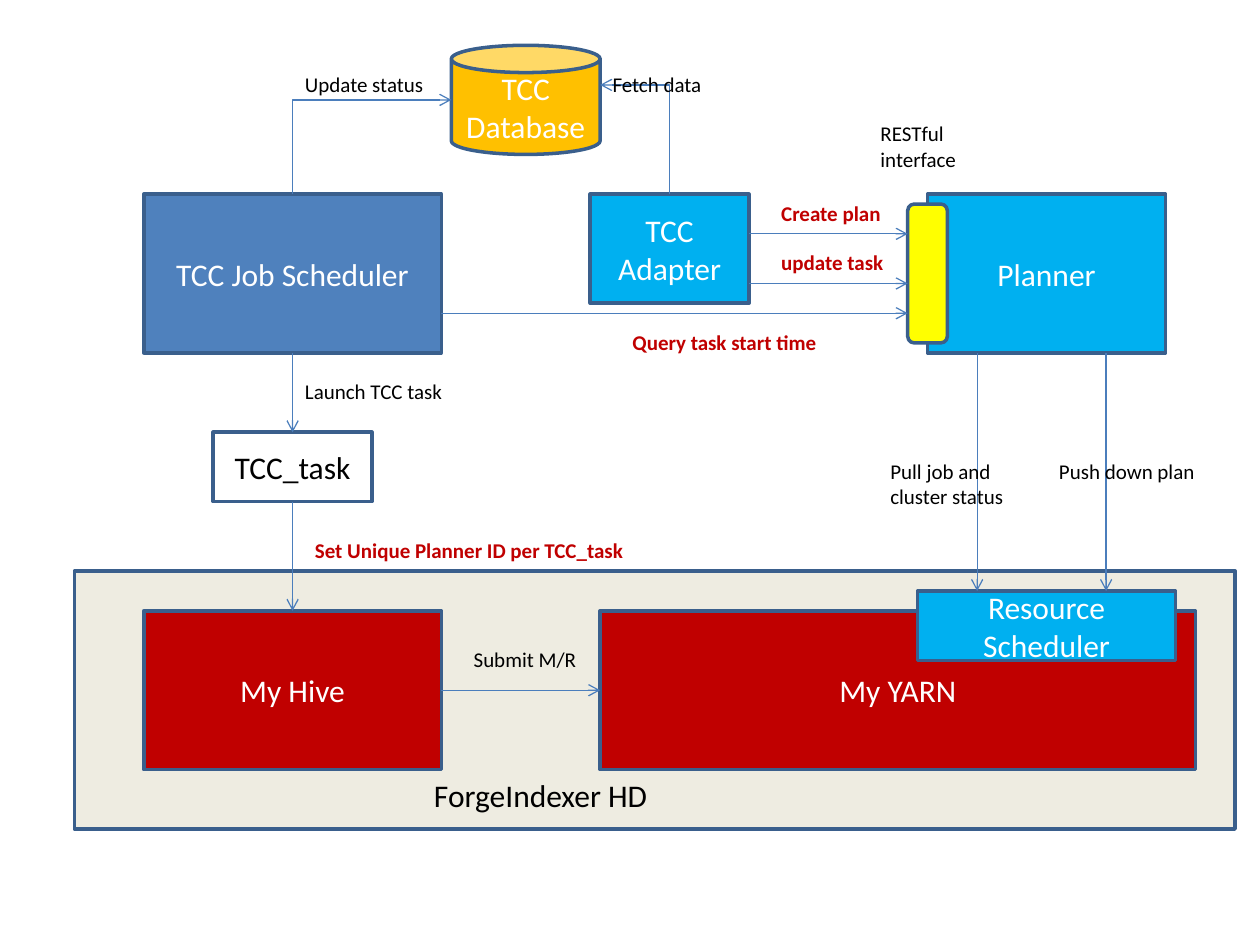
from dataclasses import dataclass

from lxml import etree
from pptx import Presentation
from pptx.dml.color import RGBColor
from pptx.enum.shapes import MSO_CONNECTOR, MSO_SHAPE
from pptx.enum.text import MSO_ANCHOR, PP_ALIGN
from pptx.oxml.ns import qn
from pptx.shapes.base import BaseShape
from pptx.shapes.connector import Connector
from pptx.slide import Slide
from pptx.text.text import TextFrame
from pptx.util import Inches, Mm, Pt

RECT, ROUNDED, CAN = MSO_SHAPE.RECTANGLE, MSO_SHAPE.ROUNDED_RECTANGLE, MSO_SHAPE.CAN
STRAIGHT, ELBOW = MSO_CONNECTOR.STRAIGHT, MSO_CONNECTOR.ELBOW
LEFT, CENTER, MIDDLE, TOP = PP_ALIGN.LEFT, PP_ALIGN.CENTER, MSO_ANCHOR.MIDDLE, MSO_ANCHOR.TOP
SIDE_TOP, SIDE_LEFT, SIDE_BOTTOM, SIDE_RIGHT = range(4)

CELL = Mm(2)  # grid pitch in both directions
ORIGIN_X, ORIGIN_Y = Inches(0.59), Inches(0.36)


@dataclass(frozen=True)
class Theme:
    font: str = "Calibri"
    node_size: int = 18
    label_size: int = 12
    outline_width: float = 2
    arrow_width: float = 0.75
    outline: str = "3A5F8C"
    arrow: str = "4B7EBC"
    panel: str = "EEECE1"
    blue: str = "4F81BD"
    cyan: str = "00B0F0"
    red: str = "C00000"
    amber: str = "FFC000"
    yellow: str = "FFFF00"
    white: str = "FFFFFF"
    black: str = "000000"


THEME = Theme()


@dataclass(frozen=True)
class Node:
    name: str
    column: float
    row: float
    columns: float
    rows: float
    fill: str
    text: str = ""
    color: str = THEME.white
    kind: MSO_SHAPE = RECT


@dataclass(frozen=True)
class Label:
    text: str
    column: float
    row: float
    columns: float
    strong: bool = False
    size: int = THEME.label_size


@dataclass(frozen=True)
class Link:
    """A straight arrow between the middles of two nodes' sides."""
    source: str
    source_side: int
    target: str
    target_side: int


@dataclass(frozen=True)
class Arrow:
    start: tuple[float, float]
    end: tuple[float, float]


NODES = [
    Node("platform", 0, 53, 117, 26, THEME.panel),
    Node("planner", 86, 15, 24, 16, THEME.cyan, "Planner"),
    Node("scheduler", 7, 15, 30, 16, THEME.blue, "TCC Job Scheduler"),
    Node("adapter", 52, 15, 16, 11, THEME.cyan, "TCC\nAdapter"),
    Node("interface", 84, 16, 4, 14, THEME.yellow, kind=ROUNDED),
    Node("database", 38, 0, 15, 11, THEME.amber, "TCC Database", kind=CAN),
    Node("task", 14, 39, 16, 7, THEME.white, "TCC_task", THEME.black),
    Node("yarn", 53, 57, 60, 16, THEME.red, "My YARN"),
    Node("hive", 7, 57, 30, 16, THEME.red, "My Hive"),
    Node("resources", 85, 55, 26, 7, THEME.cyan, "Resource Scheduler"),
]
LINKS = [
    Link("scheduler", SIDE_BOTTOM, "task", SIDE_TOP),
    Link("task", SIDE_BOTTOM, "hive", SIDE_TOP),
    Link("hive", SIDE_RIGHT, "yarn", SIDE_LEFT),
]
STRAIGHT_ARROWS = [
    Arrow((68, 19), (84, 19)),
    Arrow((68, 24), (84, 24)),
    Arrow((37, 27), (84, 27)),
    Arrow((91, 31), (91, 55)),
    Arrow((104, 31), (104, 55)),
]
ELBOW_ARROWS = [
    Arrow((22, 15), (38, 5.5)),
    Arrow((60, 15), (53, 4)),
]
LABELS = [
    Label("RESTful\ninterface", 80, 7, 10.3),
    Label("Update status", 22, 2, 14.6),
    Label("Fetch data", 53, 2, 11.6),
    Label("Create plan", 70, 15, 12.7, strong=True),
    Label("update task", 70, 20, 13, strong=True),
    Label("Query task start time", 55, 28, 21.3, strong=True),
    Label("Launch TCC task", 22, 33, 16.5),
    Label("Set Unique Planner ID per TCC_task", 23, 49, 34.4, strong=True),
    Label("Pull job and\ncluster status", 81, 41, 14.1),
    Label("Push down plan", 98, 41, 16.4),
    Label("Submit M/R", 39, 60, 13),
    Label("ForgeIndexer HD", 35, 73, 24.5, size=THEME.node_size),
]


def grid_x(column: float) -> int:
    return round(ORIGIN_X + column * CELL)


def grid_y(row: float) -> int:
    return round(ORIGIN_Y + row * CELL)


def span(cells: float) -> int:
    return round(cells * CELL)


def write(frame: TextFrame, text: str, *, size: int, color: str, bold: bool = False,
          align: PP_ALIGN = LEFT, anchor: MSO_ANCHOR = TOP, wrap: bool = True) -> None:
    frame.text = text
    frame.word_wrap = wrap
    frame.vertical_anchor = anchor
    for para in frame.paragraphs:
        para.alignment = align
        font = para.font
        font.name, font.size, font.bold = THEME.font, Pt(size), bold
        font.color.rgb = RGBColor.from_string(color)


def draw_node(page: Slide, node: Node) -> BaseShape:
    shape = page.shapes.add_shape(node.kind, grid_x(node.column), grid_y(node.row),
                                  span(node.columns), span(node.rows))
    shape.shadow.inherit = False
    shape.fill.solid()
    shape.fill.fore_color.rgb = RGBColor.from_string(node.fill)
    shape.line.color.rgb = RGBColor.from_string(THEME.outline)
    shape.line.width = Pt(THEME.outline_width)
    if node.text:
        write(shape.text_frame, node.text, size=THEME.node_size, color=node.color,
              align=CENTER, anchor=MIDDLE)
    return shape


def draw_label(page: Slide, label: Label) -> None:
    lines = label.text.count("\n") + 1
    height = Inches(0.1) + round(lines * Pt(label.size) * 1.2)
    box = page.shapes.add_textbox(grid_x(label.column), grid_y(label.row),
                                  span(label.columns), height)
    write(box.text_frame, label.text, size=label.size, bold=label.strong,
          color=THEME.red if label.strong else THEME.black, wrap=False)


def style_arrow(connector: Connector) -> None:
    connector.line.color.rgb = RGBColor.from_string(THEME.arrow)
    connector.line.width = Pt(THEME.arrow_width)
    etree.SubElement(connector.line._get_or_add_ln(), qn("a:tailEnd"), type="arrow")
    etree.SubElement(connector._element.spPr, qn("a:effectLst"))


def draw_link(page: Slide, link: Link, shapes: dict[str, BaseShape]) -> None:
    connector = page.shapes.add_connector(STRAIGHT, 0, 0, 0, 0)
    connector.begin_connect(shapes[link.source], link.source_side)
    connector.end_connect(shapes[link.target], link.target_side)
    style_arrow(connector)


def draw_straight(page: Slide, arrow: Arrow) -> None:
    (x1, y1), (x2, y2) = arrow.start, arrow.end
    style_arrow(page.shapes.add_connector(STRAIGHT, grid_x(x1), grid_y(y1),
                                          grid_x(x2), grid_y(y2)))


def draw_elbow(page: Slide, arrow: Arrow) -> None:
    """Go up, then sideways: a one-bend connector turned by 270 degrees."""
    (x1, y1), (x2, y2) = arrow.start, arrow.end
    middle_x, middle_y = (x1 + x2) / 2, (y1 + y2) / 2
    rise, run = y1 - y2, x2 - x1
    connector = page.shapes.add_connector(
        ELBOW, grid_x(middle_x - rise / 2), grid_y(middle_y - run / 2),
        grid_x(middle_x + rise / 2), grid_y(middle_y + run / 2))
    properties = connector._element.spPr
    properties.find(qn("a:xfrm")).set("rot", str(270 * 60000))
    properties.find(qn("a:prstGeom")).set("prst", "bentConnector2")
    style_arrow(connector)


def main() -> None:
    deck = Presentation()
    deck.slide_width, deck.slide_height = Inches(10), Inches(7.5)
    page = deck.slides.add_slide(deck.slide_layouts[6])
    shapes = {node.name: draw_node(page, node) for node in NODES}
    for link in LINKS:
        draw_link(page, link, shapes)
    for arrow in STRAIGHT_ARROWS:
        draw_straight(page, arrow)
    for arrow in ELBOW_ARROWS:
        draw_elbow(page, arrow)
    for label in LABELS:
        draw_label(page, label)
    deck.save("out.pptx")


if __name__ == "__main__":
    main()
